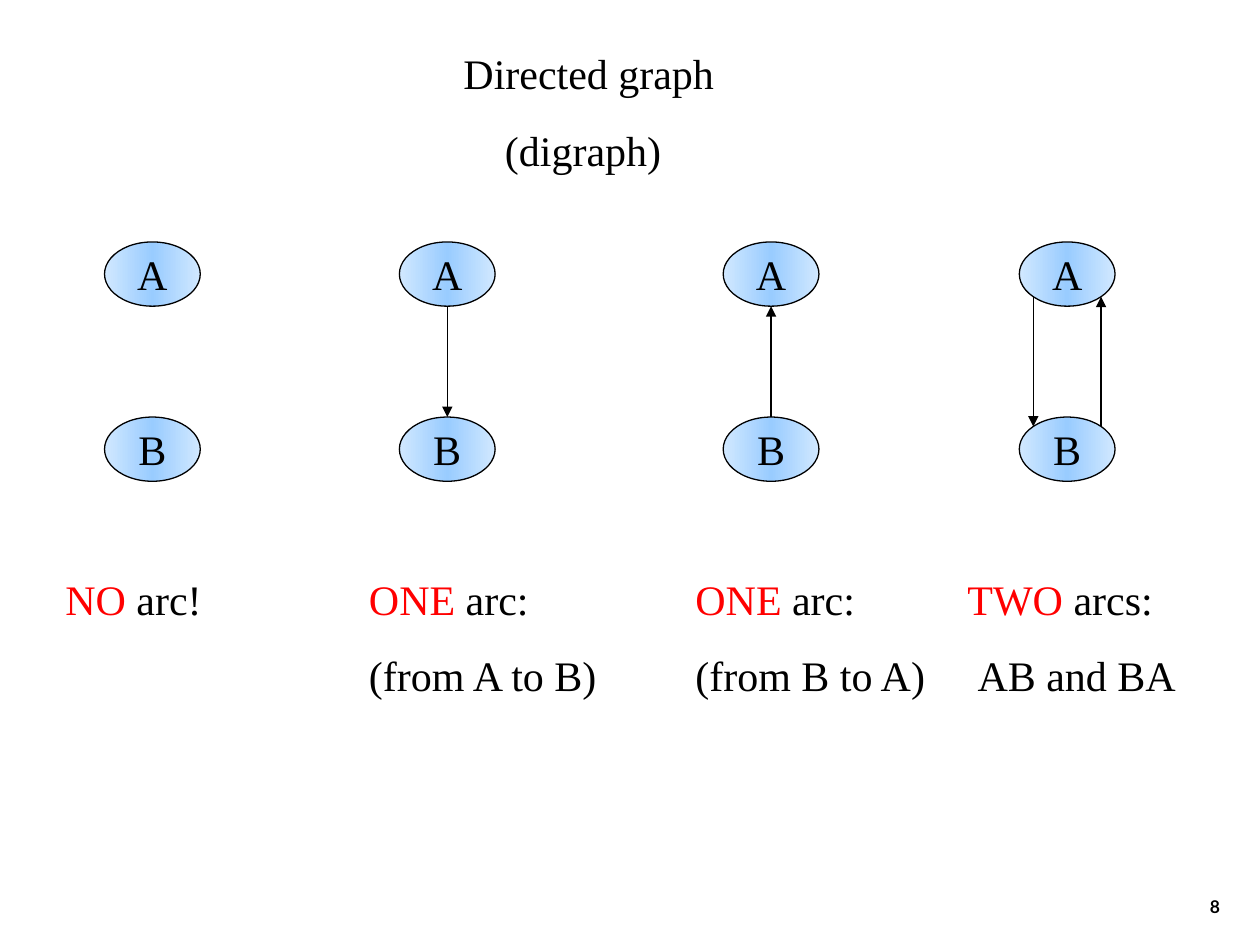
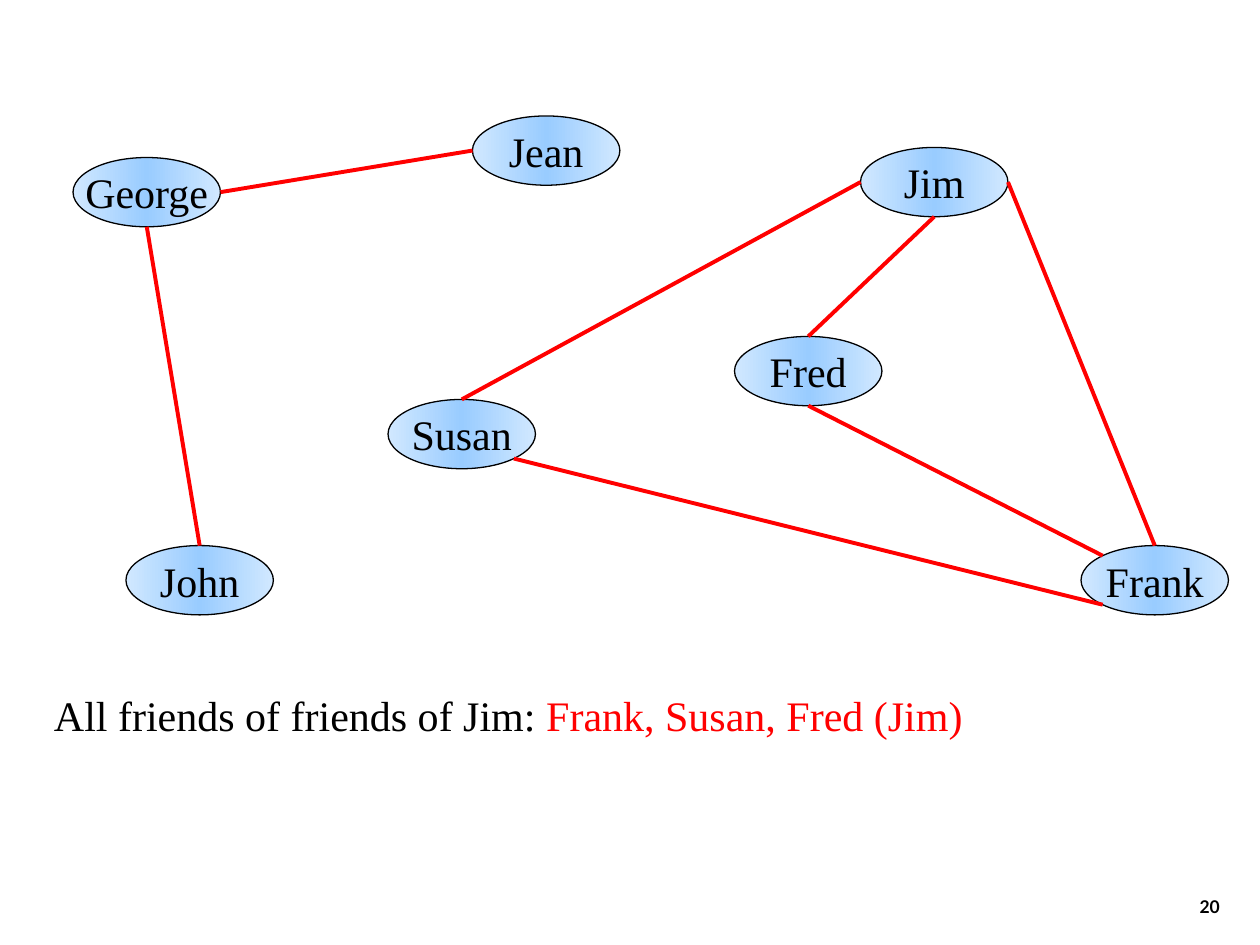
from dataclasses import dataclass
from enum import Enum
from math import sqrt

from lxml.etree import SubElement
from pptx import Presentation
from pptx.dml.color import RGBColor
from pptx.enum.shapes import MSO_CONNECTOR, MSO_SHAPE
from pptx.enum.text import MSO_ANCHOR, PP_ALIGN
from pptx.oxml.ns import qn
from pptx.shapes.autoshape import Shape
from pptx.slide import Slide
from pptx.text.text import _Paragraph as Paragraph
from pptx.util import Inches, Pt

COLORS = {"text": "000000", "accent": "FF0000", "node_edge": "D1E8FF", "node_middle": "99CCFF"}
BODY_FONT = {"name": "Times New Roman", "size": Pt(24), "bold": False}
NUMBER_FONT = {"name": "Lato", "size": Pt(10), "bold": True}
HANGING = 0.5
NEAR = (1 - 1 / sqrt(2)) / 2
FAR = 1 - NEAR


class Site(Enum):
    """Connection site of an ellipse: index, then position as shares of width and height."""
    TOP = (0, 0.5, 0)
    TOP_LEFT = (1, NEAR, NEAR)
    LEFT = (2, 0, 0.5)
    BOTTOM_LEFT = (3, NEAR, FAR)
    BOTTOM = (4, 0.5, 1)
    BOTTOM_RIGHT = (5, FAR, FAR)
    RIGHT = (6, 1, 0.5)
    TOP_RIGHT = (7, FAR, NEAR)


@dataclass(frozen=True)
class Box:
    left: float
    top: float
    width: float
    height: float

    def lengths(self) -> list[Inches]:
        return [Inches(value) for value in (self.left, self.top, self.width, self.height)]


@dataclass(frozen=True)
class Run:
    text: str
    color: str = "text"


@dataclass(frozen=True)
class TextLine:
    runs: tuple[Run, ...]
    lead: float = 0
    space_before: float = 15


@dataclass(frozen=True)
class Link:
    start: str
    start_site: Site
    end: str
    end_site: Site


@dataclass(frozen=True)
class LinkStyle:
    color: str
    width: float
    arrow: bool


@dataclass(frozen=True)
class ArcCase:
    node_left: float
    links: tuple[Link, ...]
    caption_left: float
    caption: tuple[TextLine, ...]


ARC = LinkStyle("text", 0.75, True)
FRIENDSHIP = LinkStyle("accent", 2.25, False)


def add_run(paragraph: Paragraph, content: Run, font_format: dict) -> None:
    run = paragraph.add_run()
    run.text = content.text
    for name, value in font_format.items():
        setattr(run.font, name, value)
    run.font.color.rgb = RGBColor.from_string(COLORS[content.color])


def add_text(slide: Slide, box: Box, lines: tuple[TextLine, ...]) -> None:
    frame = slide.shapes.add_textbox(*box.lengths()).text_frame
    frame.word_wrap = True
    for index, line in enumerate(lines):
        paragraph = frame.add_paragraph() if index else frame.paragraphs[0]
        paragraph.space_before = Pt(line.space_before)
        properties = paragraph._p.get_or_add_pPr()
        properties.set("marL", str(Inches(HANGING + line.lead)))
        properties.set("indent", str(Inches(-HANGING)))
        for run in line.runs:
            add_run(paragraph, run, BODY_FONT)


def add_slide_number(slide: Slide, number: int) -> None:
    frame = slide.shapes.add_textbox(*Box(7.7, 6.83, 2.08, 0.5).lengths()).text_frame
    frame.word_wrap = True
    frame.vertical_anchor = MSO_ANCHOR.BOTTOM
    paragraph = frame.paragraphs[0]
    paragraph.alignment = PP_ALIGN.RIGHT
    add_run(paragraph, Run(str(number)), NUMBER_FONT)


def fill_node(shape: Shape) -> None:
    """Apply the horizontal gradient that is light at both edges."""
    shape.fill.gradient()
    shape.fill.gradient_angle = 0
    stops = shape.fill._fill._gradFill.find(qn("a:gsLst"))
    for stop in list(stops):
        stops.remove(stop)
    for percent, color in ((0, "node_edge"), (50, "node_middle"), (100, "node_edge")):
        stop = SubElement(stops, qn("a:gs"), pos=str(percent * 1000))
        SubElement(stop, qn("a:srgbClr"), val=COLORS[color])


def add_node(slide: Slide, box: Box, label: str) -> Shape:
    shape = slide.shapes.add_shape(MSO_SHAPE.OVAL, *box.lengths())
    shape.shadow.inherit = False
    fill_node(shape)
    shape.line.color.rgb = RGBColor.from_string(COLORS["text"])
    shape.line.width = Pt(0.75)
    frame = shape.text_frame
    frame.word_wrap = False
    frame.vertical_anchor = MSO_ANCHOR.MIDDLE
    paragraph = frame.paragraphs[0]
    paragraph.alignment = PP_ALIGN.CENTER
    add_run(paragraph, Run(label), BODY_FONT)
    return shape


def site_point(shape: Shape, site: Site) -> tuple[int, int]:
    _, across, down = site.value
    return round(shape.left + across * shape.width), round(shape.top + down * shape.height)


def add_link(slide: Slide, nodes: dict[str, Shape], link: Link, style: LinkStyle) -> None:
    """Draw a straight line and glue both ends to ellipse sites, which number from 0 to 7."""
    start, end = nodes[link.start], nodes[link.end]
    connector = slide.shapes.add_connector(
        MSO_CONNECTOR.STRAIGHT, *site_point(start, link.start_site), *site_point(end, link.end_site)
    )
    joints = connector._element.nvCxnSpPr.cNvCxnSpPr
    for tag, shape, site in (("a:stCxn", start, link.start_site), ("a:endCxn", end, link.end_site)):
        SubElement(joints, qn(tag), id=str(shape.shape_id), idx=str(site.value[0]))
    connector.line.color.rgb = RGBColor.from_string(COLORS[style.color])
    connector.line.width = Pt(style.width)
    if style.arrow:
        SubElement(connector.line._get_or_add_ln(), qn("a:tailEnd"), type="triangle")
    SubElement(connector._element.spPr, qn("a:effectLst"))


def build_digraph_slide(slide: Slide) -> None:
    add_slide_number(slide, 8)
    title = (TextLine((Run("Directed graph"),)), TextLine((Run("(digraph)"),), lead=0.33))
    add_text(slide, Box(3.58, 0.33, 2.33, 1.11), title)

    one_arc = TextLine((Run("ONE", "accent"), Run(" arc:")))
    cases = (
        ArcCase(0.83, (), 0.42, (TextLine((Run("NO", "accent"), Run(" arc!"))),)),
        ArcCase(3.17, (Link("A", Site.BOTTOM, "B", Site.TOP),),
                2.83, (one_arc, TextLine((Run("(from A to B)"),)))),
        ArcCase(5.74, (Link("B", Site.TOP, "A", Site.BOTTOM),),
                5.42, (one_arc, TextLine((Run("(from B to A)"),)))),
        ArcCase(8.09, (Link("A", Site.BOTTOM_LEFT, "B", Site.TOP_LEFT),
                       Link("B", Site.TOP_RIGHT, "A", Site.BOTTOM_RIGHT)),
                7.58, (TextLine((Run("TWO", "accent"), Run(" arcs:"))),
                       TextLine((Run("AB and BA"),), lead=0.08))),
    )
    for case in cases:
        nodes = {
            label: add_node(slide, Box(case.node_left, top, 0.76, 0.51), label)
            for label, top in (("A", 1.92), ("B", 3.31))
        }
        for link in case.links:
            add_link(slide, nodes, link, ARC)
        height = 0.5 + 0.61 * (len(case.caption) - 1)
        add_text(slide, Box(case.caption_left, 4.5, 2.08, height), case.caption)


def build_friends_slide(slide: Slide) -> None:
    add_slide_number(slide, 20)
    people = {
        "George": (0.58, 1.25),
        "Jim": (6.83, 1.17),
        "Jean": (3.75, 0.92),
        "Frank": (8.58, 4.33),
        "John": (1, 4.33),
        "Susan": (3.08, 3.17),
        "Fred": (5.83, 2.67),
    }
    friendships = (
        Link("George", Site.RIGHT, "Jean", Site.LEFT),
        Link("George", Site.BOTTOM, "John", Site.TOP),
        Link("Fred", Site.BOTTOM, "Frank", Site.TOP_LEFT),
        Link("Fred", Site.TOP, "Jim", Site.BOTTOM),
        Link("Susan", Site.TOP, "Jim", Site.LEFT),
        Link("Frank", Site.TOP, "Jim", Site.RIGHT),
        Link("Susan", Site.BOTTOM_RIGHT, "Frank", Site.BOTTOM_LEFT),
    )
    nodes = {
        name: add_node(slide, Box(left, top, 1.17, 0.55), name)
        for name, (left, top) in people.items()
    }
    for link in friendships:
        add_link(slide, nodes, link, FRIENDSHIP)
    answer = (Run("All friends of friends of Jim: "), Run("Frank, Susan, Fred (Jim)", "accent"))
    add_text(slide, Box(0.33, 5.42, 8.92, 0.5), (TextLine(answer, space_before=0),))


def main() -> None:
    presentation = Presentation()
    presentation.slide_width = Inches(10)
    presentation.slide_height = Inches(7.5)
    blank_layout = presentation.slide_layouts[6]
    for build in (build_digraph_slide, build_friends_slide):
        build(presentation.slides.add_slide(blank_layout))
    presentation.save("out.pptx")


if __name__ == "__main__":
    main()
